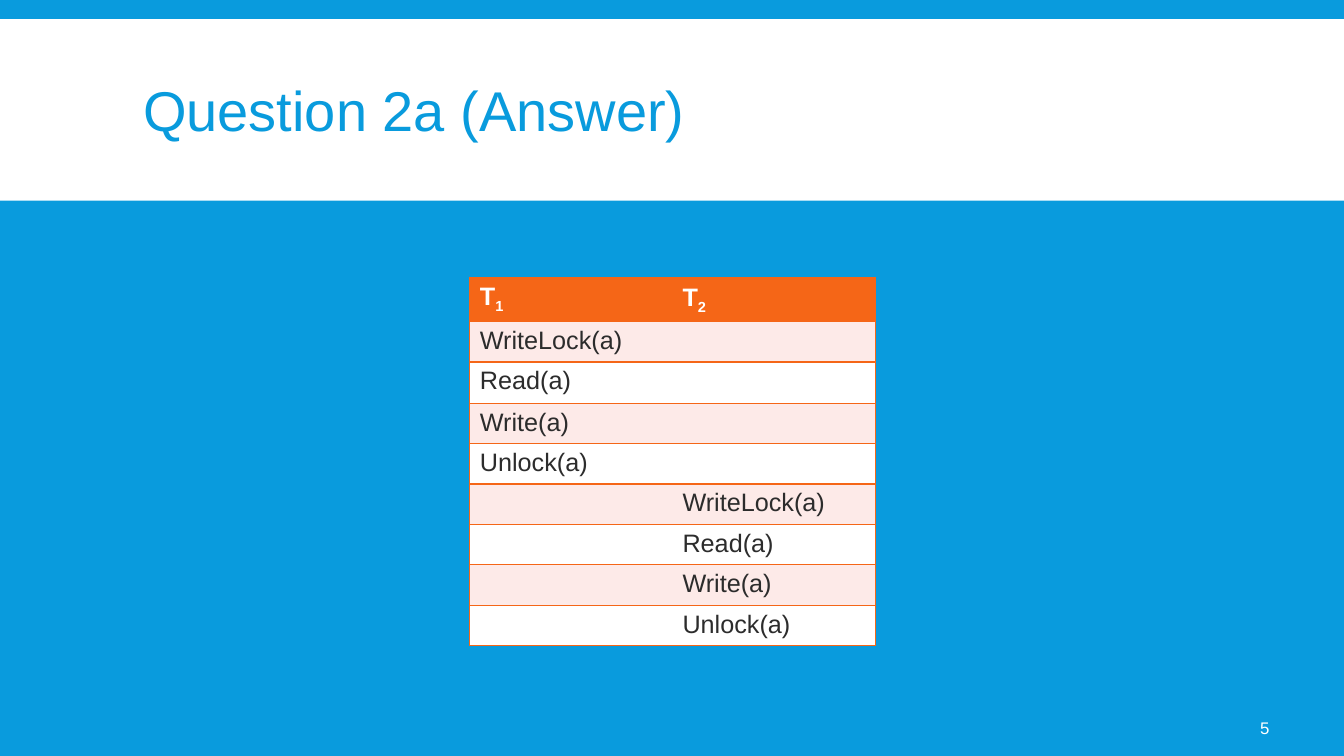
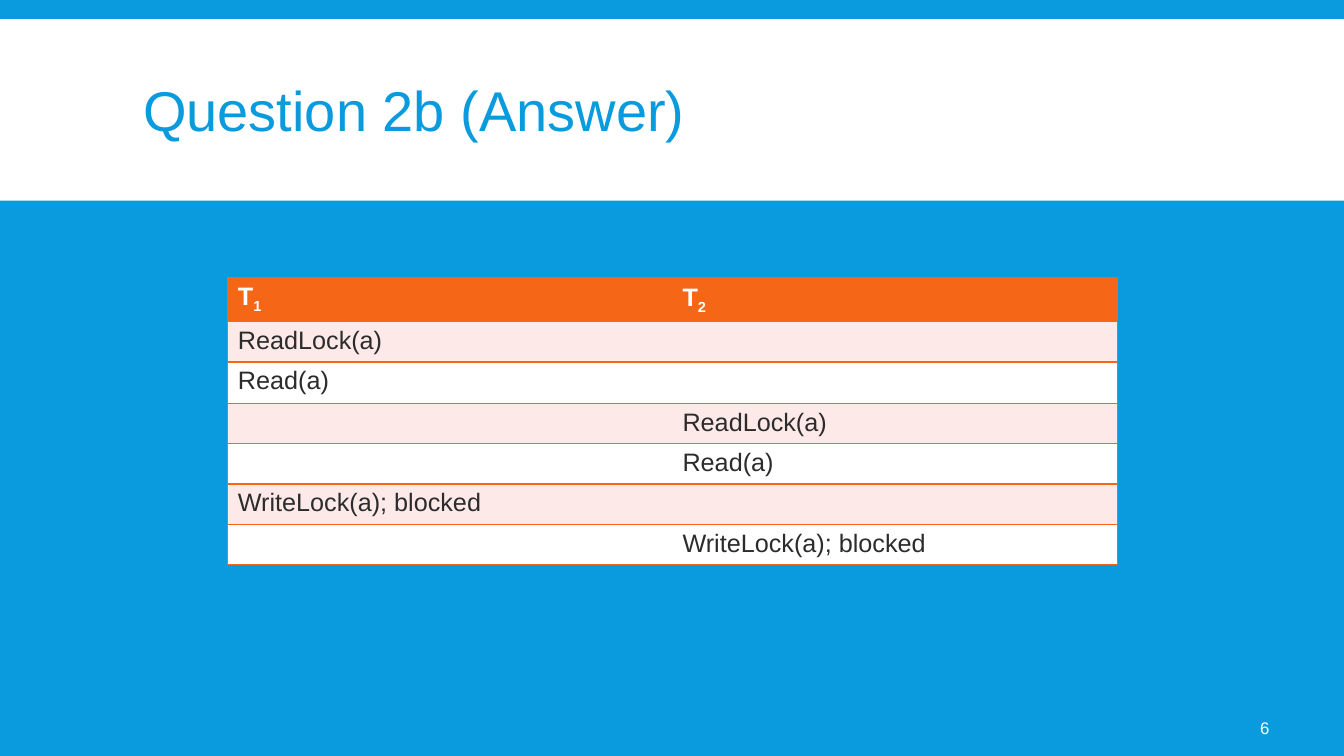
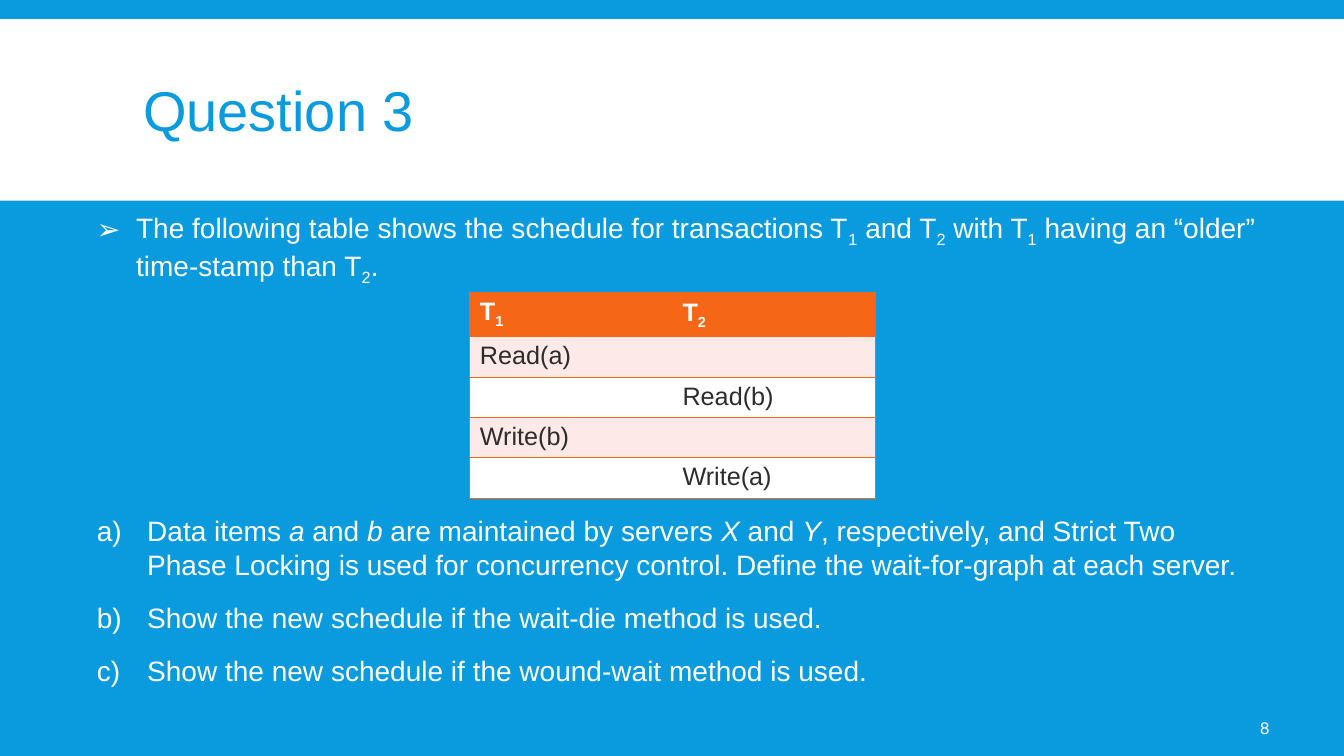
from lxml.etree import SubElement as Sub
from pptx import Presentation
from pptx.dml.color import RGBColor as RGB
from pptx.enum.shapes import MSO_SHAPE as Form
from pptx.enum.text import MSO_ANCHOR as Anchor, MSO_AUTO_SIZE as Fit, PP_ALIGN as Align
from pptx.oxml.ns import qn
from pptx.util import Inches, Pt

BLUE = RGB(0x09, 0x9B, 0xDD)
WHITE = RGB(0xFF, 0xFF, 0xFF)
ORANGE = RGB(0xF5, 0x66, 0x17)
PINK = RGB(0xFD, 0xEA, 0xE8)
DARK = RGB(0x2C, 0x2C, 0x2C)
FONT = "Arial"
PLAIN = "{2D5ABB26-0587-4C30-8999-92F81FD0307C}"
HEAD = (["T", "1"], ["T", "2"])


def tint(node, color):
    Sub(node, qn("a:srgbClr"), val=str(color))


class Deck:
    def __init__(self):
        self.prs = Presentation()
        self.prs.slide_width = Inches(13.33)
        self.prs.slide_height = Inches(7.5)
        back = self.prs.slide_master.background.fill
        back.solid()
        back.fore_color.rgb = BLUE

    def start(self, title, num, layout=5):
        self.slide = self.prs.slides.add_slide(self.prs.slide_layouts[layout])
        self.band()
        self.title(title)
        self.number(num)

    def place(self, shape, left, top, width, height):
        shape.left, shape.top = Inches(left), Inches(top)
        shape.width, shape.height = Inches(width), Inches(height)

    def text(self, para, runs, size, color, bold=False, mark="sub"):
        for i, words in enumerate(runs):
            run = para.add_run()
            run.text = words
            font = run.font
            font.name, font.size, font.bold = FONT, Pt(size), bold
            font.color.rgb = color
            if i % 2 and mark == "sub":
                font._element.set("baseline", "-25000")
            elif i % 2:
                font.italic = True

    def band(self):
        band = self.slide.shapes.add_shape(
            Form.RECTANGLE, 0, Inches(0.19), Inches(13.33), Inches(1.8))
        band.shadow.inherit = False
        band.fill.solid()
        band.fill.fore_color.rgb = WHITE
        band.line.fill.background()
        self.slide.shapes.element.insert(2, band.element)

    def title(self, words):
        shape = self.slide.shapes.title
        self.place(shape, 1.32, 0.31, 10.7, 1.65)
        frame = shape.text_frame
        frame.vertical_anchor = Anchor.MIDDLE
        frame.auto_size = Fit.NONE
        para = frame.paragraphs[0]
        para.alignment = Align.LEFT
        para.line_spacing = 0.85
        self.text(para, [words], 40, BLUE)

    def number(self, num):
        box = self.slide.shapes.add_textbox(
            Inches(11.66), Inches(7.02), Inches(1.03), Inches(0.4))
        frame = box.text_frame
        frame.word_wrap = True
        frame.vertical_anchor = Anchor.MIDDLE
        frame.margin_left = Inches(0.05)
        para = frame.paragraphs[0]
        para.alignment = Align.RIGHT
        self.text(para, [str(num)], 12, WHITE)

    def bullet(self, para, indent, char=None):
        props = para._p.get_or_add_pPr()
        props.set("marL", str(Inches(indent)))
        props.set("indent", str(-Inches(indent)))
        tint(Sub(props, qn("a:buClr")), WHITE)
        Sub(props, qn("a:buFont"), typeface=FONT)
        if char:
            Sub(props, qn("a:buChar"), char=char)
        else:
            Sub(props, qn("a:buAutoNum"), type="alphaLcParenR")

    def body(self, intro, parts, gap):
        shape = self.slide.placeholders[1]
        self.place(shape, 0.86, 2.04, 11.75, 5.38)
        frame = shape.text_frame
        frame.auto_size = Fit.NONE
        frame.vertical_anchor = Anchor.TOP
        para = frame.paragraphs[0]
        para.space_before, para.space_after = Pt(0), Pt(2)
        self.bullet(para, 0.39, "➢")
        self.text(para, intro, 20, WHITE)
        for i, runs in enumerate(parts):
            para = frame.add_paragraph()
            para.space_before = Pt(12 if i else gap)
            para.space_after = Pt(2)
            self.bullet(para, 0.5)
            self.text(para, runs, 20, WHITE, mark="italic")

    def edges(self, cell, sides):
        props = cell._tc.get_or_add_tcPr()
        for side in sides:
            line = Sub(props, qn("a:ln" + side), w=str(Pt(1)))
            tint(Sub(line, qn("a:solidFill")), ORANGE)

    def table(self, left, top, col, steps, tall=None):
        count = len(steps) + 1
        shape = self.slide.shapes.add_table(
            count, 2, Inches(left), Inches(top), Inches(2 * col), Inches(0.38 * count))
        grid = shape.table
        for node in shape.element.iter(qn("a:tableStyleId")):
            node.text = PLAIN
        grid.horz_banding = False
        rows = [HEAD]
        for who, act in steps:
            rows.append(([act], []) if who == 1 else ([], [act]))
        for r, row in enumerate(rows):
            high = 0.42 if r == 0 else 0.41 if r == tall else 0.38
            grid.rows[r].height = Inches(high)
            fill = ORANGE if r == 0 else PINK if r % 2 else WHITE
            for c, runs in enumerate(row):
                cell = grid.cell(r, c)
                self.edges(cell, "RTB" if c else "LTB")
                cell.fill.solid()
                cell.fill.fore_color.rgb = fill
                self.text(cell.text_frame.paragraphs[0], runs, 18,
                          DARK if r else WHITE, r == 0)
        last = grid.cell(0, 1)
        last.vertical_anchor = Anchor.MIDDLE
        last.margin_top = last.margin_bottom = 0


def main():
    deck = Deck()

    deck.start("Question 2a (Answer)", 5)
    acts = ("WriteLock(a)", "Read(a)", "Write(a)", "Unlock(a)")
    deck.table(4.66, 2.75, 2.01, [(who, act) for who in (1, 2) for act in acts], 2)

    deck.start("Question 2b (Answer)", 6)
    deck.table(2.26, 2.75, 4.41, [
        (1, "ReadLock(a)"), (1, "Read(a)"),
        (2, "ReadLock(a)"), (2, "Read(a)"),
        (1, "WriteLock(a); blocked"), (2, "WriteLock(a); blocked"),
    ], 2)

    deck.start("Question 3", 8, 1)
    deck.body(
        ["The following table shows the schedule for transactions T", "1", " and T", "2",
         " with T", "1", " having an “older” time-stamp than T", "2", "."],
        [["Data items ", "a", " and ", "b", " are maintained by servers ", "X", " and ", "Y",
          ", respectively, and Strict Two Phase Locking is used for concurrency control. "
          "Define the wait-for-graph at each server."],
         ["Show the new schedule if the wait-die method is used."],
         ["Show the new schedule if the wound-wait method is used."]],
        160)
    deck.table(4.66, 2.9, 2.01, [
        (1, "Read(a)"), (2, "Read(b)"), (1, "Write(b)"), (2, "Write(a)")])

    deck.prs.save("out.pptx")


if __name__ == "__main__":
    main()
